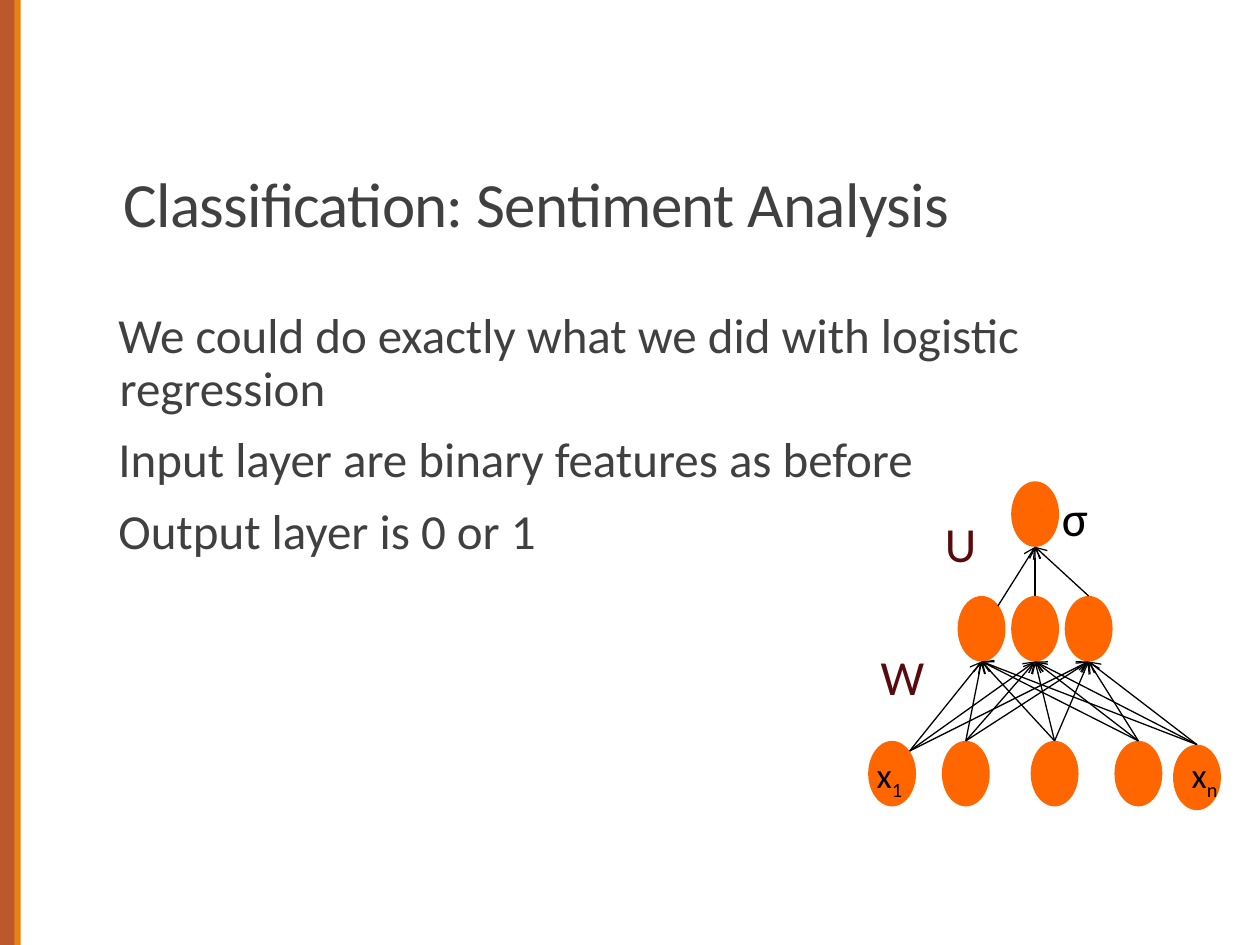
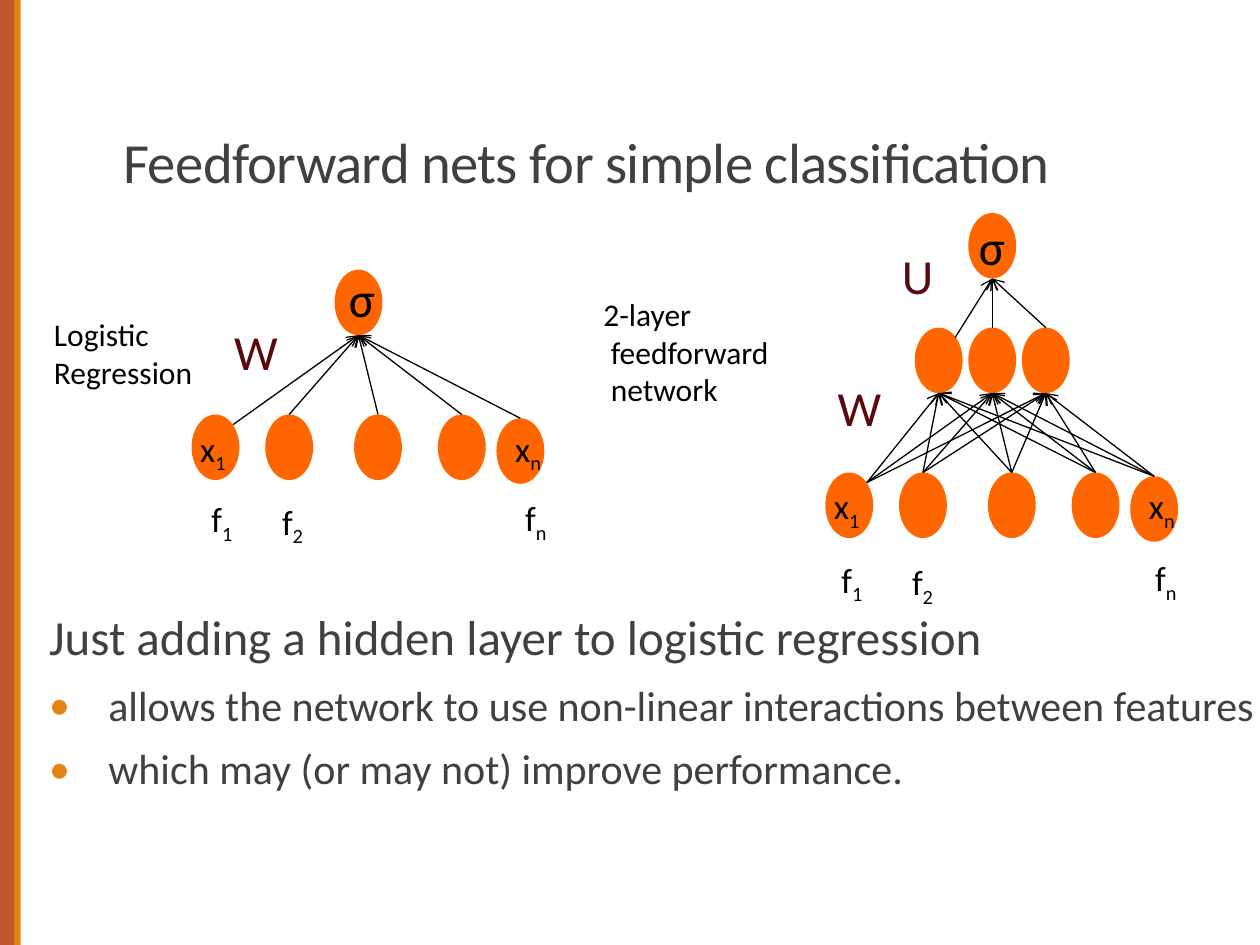
from lxml.etree import SubElement
from pptx import Presentation
from pptx.dml.color import RGBColor
from pptx.enum.shapes import MSO_CONNECTOR, MSO_SHAPE
from pptx.enum.text import MSO_ANCHOR, MSO_AUTO_SIZE, PP_ALIGN
from pptx.oxml.ns import qn
from pptx.util import Inches, Pt

RUST = RGBColor(0xBD, 0x58, 0x2C)
AMBER = RGBColor(0xE4, 0x83, 0x12)
GREY = RGBColor(0x40, 0x40, 0x40)
FLAME = RGBColor(0xFF, 0x66, 0x00)
WINE = RGBColor(0x59, 0x0A, 0x0E)
BLACK = RGBColor(0, 0, 0)

deck = Presentation()
deck.slide_width, deck.slide_height = Inches(10), Inches(7.5)
CELL = deck.slide_width / 100
ROWS = 75
NODE = (3.8, 5.2)
MID = NODE[0] / 2


def grid(*cells):
    return [round(cell * CELL) for cell in cells]


def write(shapes, box, lines, size, ink):
    frame = shapes.add_textbox(*grid(*box)).text_frame
    frame.word_wrap = True
    for i, line in enumerate(lines):
        para = frame.paragraphs[0] if i == 0 else frame.add_paragraph()
        base, _, sub = line.partition("_")
        for word, drop in ((base, None), (sub, "-25000")):
            if word:
                run = para.add_run()
                run.text = word
                form = {"name": "Calibri", "size": Pt(size)}
                for key, val in form.items():
                    setattr(run.font, key, val)
                run.font.color.rgb = ink
                if drop:
                    run.font._element.set("baseline", drop)
    return frame


plan = deck.slide_layouts[5]
pages = []
for title, size, box in (
    ("Classification: Sentiment Analysis", 36, (8.8, 10.8, 89.6, 8.8)),
    ("Feedforward nets for simple classification", 32.4, (8.8, 8.6, 82.5, 7.4)),
):
    page = deck.slides.add_slide(plan)
    pages.append(page)
    head = page.shapes.title
    head.left, head.top, head.width, head.height = grid(*box)
    frame = head.text_frame
    frame.text = title
    look = {"vertical_anchor": MSO_ANCHOR.BOTTOM, "word_wrap": True,
            "auto_size": MSO_AUTO_SIZE.NONE}
    for key, val in look.items():
        setattr(frame, key, val)
    para = frame.paragraphs[0]
    para.alignment, para.line_spacing = PP_ALIGN.LEFT, 0.85
    font = para.runs[0].font
    for key, val in {"name": "Calibri", "size": Pt(size)}.items():
        setattr(font, key, val)
    font.color.rgb = GREY
    font._element.set("spc", "-40")

for left, wide, ink in ((0, 1.2, RUST), (1.15, 0.5, AMBER)):
    band = pages[0].shapes.add_shape(MSO_SHAPE.RECTANGLE, *grid(left, 0, wide, ROWS))
    band.shadow.inherit = False
    band.fill.solid()
    band.fill.fore_color.rgb = ink
    band.line.fill.background()
    plan.shapes._spTree.append(band._element)

bodies = (
    (pages[0], (9.4, 24.2, 79.7, 38.3), (
        ("We could do exactly what we did with logistic regression", 28, False),
        ("Input layer are binary features as before", 28, False),
        ("Output layer is 0 or 1", 28, False))),
    (pages[1], (3.9, 48.2, 95.7, 24), (
        ("Just adding a hidden layer to logistic regression", 28, False),
        ("allows the network to use non-linear interactions between features", 24, True),
        ("which may (or may not) improve performance.", 24, True))),
)
for page, box, items in bodies:
    frame = write(page.shapes, box, [item[0] for item in items], 28, GREY)
    frame.margin_left = frame.margin_right = 0
    for i, (para, (_, size, dot)) in enumerate(zip(frame.paragraphs, items)):
        props = para._p.get_or_add_pPr()
        inset = Inches(0.47 if dot else 0.01)
        props.set("marL", str(inset))
        props.set("indent", str(-inset))
        if dot:
            tint = SubElement(props, qn("a:buClr"))
            SubElement(tint, qn("a:srgbClr")).set("val", str(AMBER))
            SubElement(props, qn("a:buFont")).set("typeface", "Calibri")
            SubElement(props, qn("a:buChar")).set("char", "•")
        flow = {"line_spacing": 0.9, "space_before": Pt(9 if i else 0),
                "space_after": Pt(1.5)}
        for key, val in flow.items():
            setattr(para, key, val)
        para.runs[0].font.size = Pt(size)

INPUT = [(0, 0), (5.85, 0), (12.9, 0), (19.55, 0), (24.2, 0.3)]
ROOTS = [(3.3, 0.8)] + [(x + MID, y) for x, y in INPUT[1:]]
INNER = [(x, -11.5) for x in (7.1, 11.35, 15.6)]
STEMS = [(10.3, -10.7)] + [(x + MID, y) for x, y in INNER[1:]]
PEAK = (11.35, -20.6)
SIGNS = [("x_n", 24.7, 0.5, 4.4), ("x_1", -0.3, 0.5, 6.5)]
DEEP = [("U", 5.1, -18.5), ("W", 0, -8)]
FEATS = [("f_1", 0.3, 6.3), ("f_2", 5.9, 6.5), ("f_n", 25.2, 6.2)]

nets = (
    (pages[0], 68.9, 58.8, True, DEEP, [], (14.4, -20.6)),
    (pages[1], 65.5, 37.5, True, DEEP, FEATS, (11.2, -20.8)),
    (pages[1], 15.2, 32.9, False, [("W", 2.4, -7.9)],
     [(name, x + 0.3, y - 0.2) for name, x, y in FEATS], (11.5, -12.1)),
)
for page, left, top, deep, names, feats, sigma in nets:
    group = page.shapes.add_group_shape().shapes
    goals = INNER if deep else INNER[1:2]
    for x, y in INPUT + goals + ([PEAK] if deep else []):
        node = group.add_shape(MSO_SHAPE.OVAL, *grid(left + x, top + y, *NODE))
        node.shadow.inherit = False
        node.fill.solid()
        node.fill.fore_color.rgb = FLAME
        node.line.fill.background()

    links = [(root, goal) for goal in goals for root in ROOTS]
    if deep:
        links += [(stem, PEAK) for stem in STEMS]
    for (x, y), (gx, gy) in links:
        ends = grid(left + x, top + y, left + gx + MID, top + gy + NODE[1])
        link = group.add_connector(MSO_CONNECTOR.STRAIGHT, *ends)
        link.line.width = Pt(0.75)
        link.line.color.rgb = BLACK
        SubElement(link.line._get_or_add_ln(), qn("a:tailEnd")).set("type", "arrow")
        SubElement(link._element.spPr, qn("a:effectLst"))

    for name, x, y in names:
        write(group, (left + x, top + y, 2.3, 5.7), [name], 28, WINE)
    for name, x, y, wide in SIGNS + [(*feat, 4) for feat in feats]:
        write(group, (left + x, top + y, wide, 4.4), [name], 20, BLACK)
    write(page.shapes, (left + sigma[0], top + sigma[1], 4.1, 5.7), ["σ"], 28, BLACK)

for box, lines, inset in (
    ((3.3, 24.5, 13.5, 7.1), ("Logistic", "Regression"), 0),
    ((46.9, 22.9, 15.5, 10.1), ("2-layer", "feedforward", "network"), 0.06),
):
    frame = write(pages[1].shapes, box, lines, 18, BLACK)
    for para in frame.paragraphs[1:]:
        para._p.get_or_add_pPr().set("marL", str(Inches(inset)))

deck.save("out.pptx")
